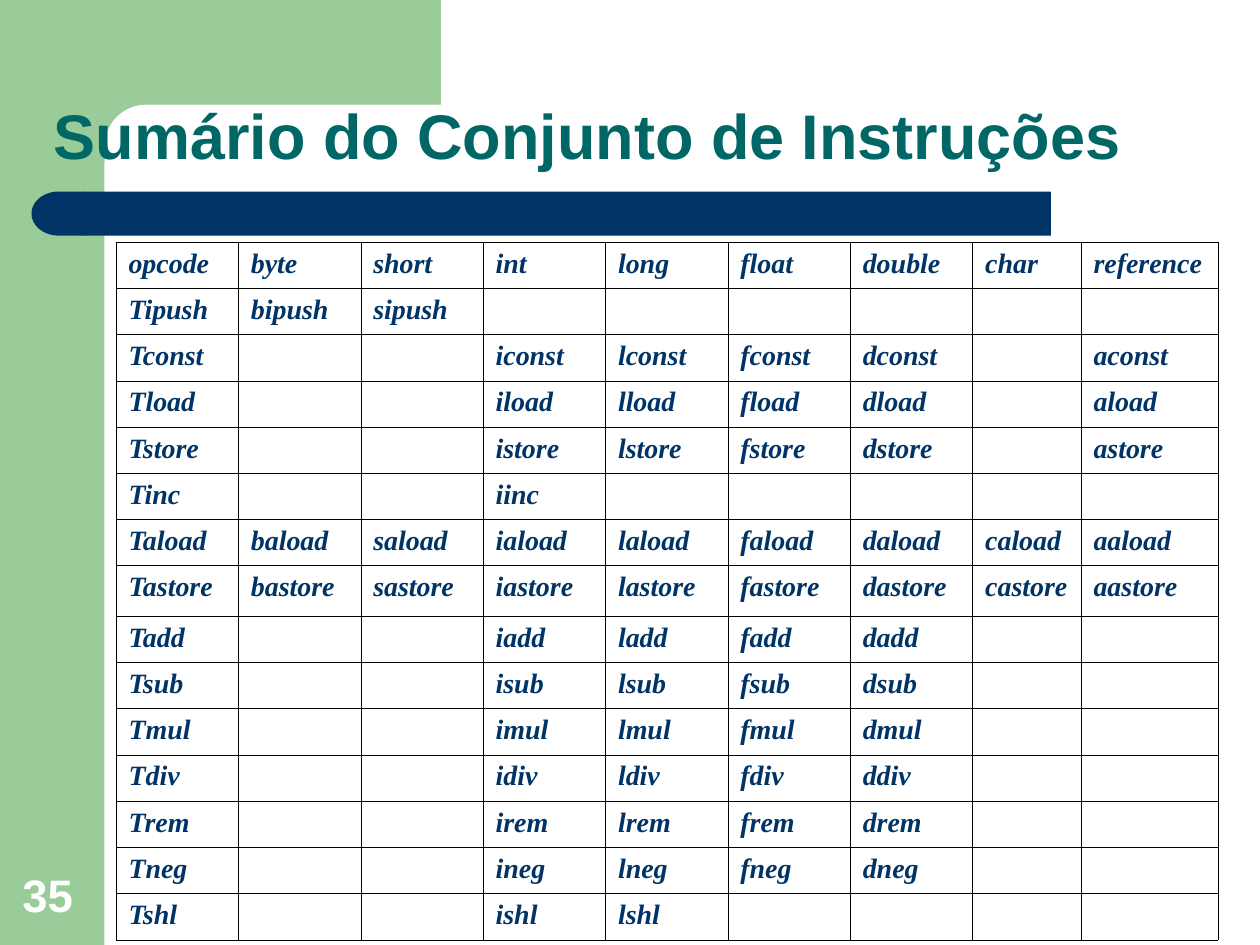
from math import cos, pi, sin
from lxml.etree import SubElement
from pptx import Presentation
from pptx.dml.color import RGBColor
from pptx.enum.shapes import MSO_SHAPE as Geo
from pptx.enum.text import MSO_ANCHOR as Anchor
from pptx.oxml import parse_xml
from pptx.oxml.ns import nsdecls, qn
from pptx.util import Inches, Pt

GREEN, NAVY, TEAL, WHITE, BLACK = "99CC99", "003366", "006666", "FFFFFF", "000000"

ROWS = [
    "opcode byte short int long float double char reference",
    "Tipush bipush sipush - - - - - -",
    "Tconst - - iconst lconst fconst dconst - aconst",
    "Tload - - iload lload fload dload - aload",
    "Tstore - - istore lstore fstore dstore - astore",
    "Tinc - - iinc - - - - -",
    "Taload baload saload iaload laload faload daload caload aaload",
    "Tastore bastore sastore iastore lastore fastore dastore castore aastore",
    "Tadd - - iadd ladd fadd dadd - -",
    "Tsub - - isub lsub fsub dsub - -",
    "Tmul - - imul lmul fmul dmul - -",
    "Tdiv - - idiv ldiv fdiv ddiv - -",
    "Trem - - irem lrem frem drem - -",
    "Tneg - - ineg lneg fneg dneg - -",
    "Tshl - - ishl lshl - - - -",
]
GRID = [["" if word == "-" else word for word in row.split()] for row in ROWS]
TABLE = (0.92, 1.92, 8.75, 5.53)
WIDE = {7: 0.86, 8: 1.09}
TALL = {7: 0.4}

BARS = [
    (Geo.RECTANGLE, (0, 0, 0.83, 7.5), GREEN),
    (Geo.RECTANGLE, (0.67, 1.52, 7.67, 0.35), NAVY),
    (Geo.FLOWCHART_DELAY, (0.25, 1.52, 0.43, 0.35), NAVY),
]
LABELS = [
    ("Sumário do Conjunto de Instruções", (0.33, 0.33, 9.34, 1.09), 0.9,
     dict(name="Arial", size=Pt(36), bold=True), TEAL),
    ("35", (0.08, 6.83, 0.83, 0.53), 1.0,
     dict(name="Arial", size=Pt(26), bold=True), WHITE),
]
CODE = dict(name="Times New Roman", size=Pt(16), bold=True, italic=True)


def color(code):
    return RGBColor.from_string(code)


def place(box):
    return [Inches(side) for side in box]


def paint(shape, code):
    shape.shadow.inherit = False
    shape.fill.solid()
    shape.fill.fore_color.rgb = color(code)
    shape.line.fill.background()


def write(para, text, style, code):
    run = para.add_run()
    run.text = text
    for key, value in style.items():
        setattr(run.font, key, value)
    run.font.color.rgb = color(code)


def add_bar(slide, kind, box, code):
    bar = slide.shapes.add_shape(kind, *place(box))
    paint(bar, code)
    return bar


def add_corner(slide, left, right, edge, base, radius):
    mid = edge + radius
    arc = [(mid - radius * sin(t * pi / 24), mid - radius * cos(t * pi / 24))
           for t in range(13)]
    points = [(right, 0), (right, edge), *arc, (edge, base), (left, base)]
    path = slide.shapes.build_freeform(Inches(left), 0, scale=1.0)
    path.add_line_segments([place(point) for point in points], close=True)
    paint(path.convert_to_shape(), GREEN)


def add_label(slide, text, box, gap, style, code):
    frame = slide.shapes.add_textbox(*place(box)).text_frame
    frame.word_wrap = True
    frame.vertical_anchor = Anchor.BOTTOM
    para = frame.paragraphs[0]
    para.line_spacing = gap
    write(para, text, style, code)


def add_edges(cell):
    props = cell._tc.get_or_add_tcPr()
    for i, side in enumerate("LRTB"):
        props.insert(i, parse_xml(
            f'<a:ln{side} {nsdecls("a")} w="762"><a:solidFill>'
            f'<a:srgbClr val="{BLACK}"/></a:solidFill></a:ln{side}>'))


def share(total, count, fixed):
    rest = (total - sum(fixed.values())) / (count - len(fixed))
    return [Inches(fixed.get(i, rest)) for i in range(count)]


def add_grid(slide):
    rows, cols = len(GRID), len(GRID[0])
    table = slide.shapes.add_table(rows, cols, *place(TABLE)).table
    table.first_row = table.horz_banding = False
    for col, width in zip(table.columns, share(TABLE[2], cols, WIDE)):
        col.width = width
    for row, height in zip(table.rows, share(TABLE[3], rows, TALL)):
        row.height = height
    for r, words in enumerate(GRID):
        for c, word in enumerate(words):
            cell = table.cell(r, c)
            cell.fill.background()
            add_edges(cell)
            para = cell.text_frame.paragraphs[0]
            if word:
                write(para, word, CODE, NAVY)
            else:
                SubElement(para._p, qn("a:endParaRPr"), sz="1600")


def main():
    deck = Presentation()
    deck.slide_width, deck.slide_height = Inches(10), Inches(7.5)
    slide = deck.slides.add_slide(deck.slide_layouts[6])
    bars = [add_bar(slide, *bar) for bar in BARS]
    bars[-1].rotation = 180
    add_corner(slide, 0.5, 3.5, 0.83, 1.28, 0.33)
    for label in LABELS:
        add_label(slide, *label)
    add_grid(slide)
    deck.save("out.pptx")


if __name__ == "__main__":
    main()
